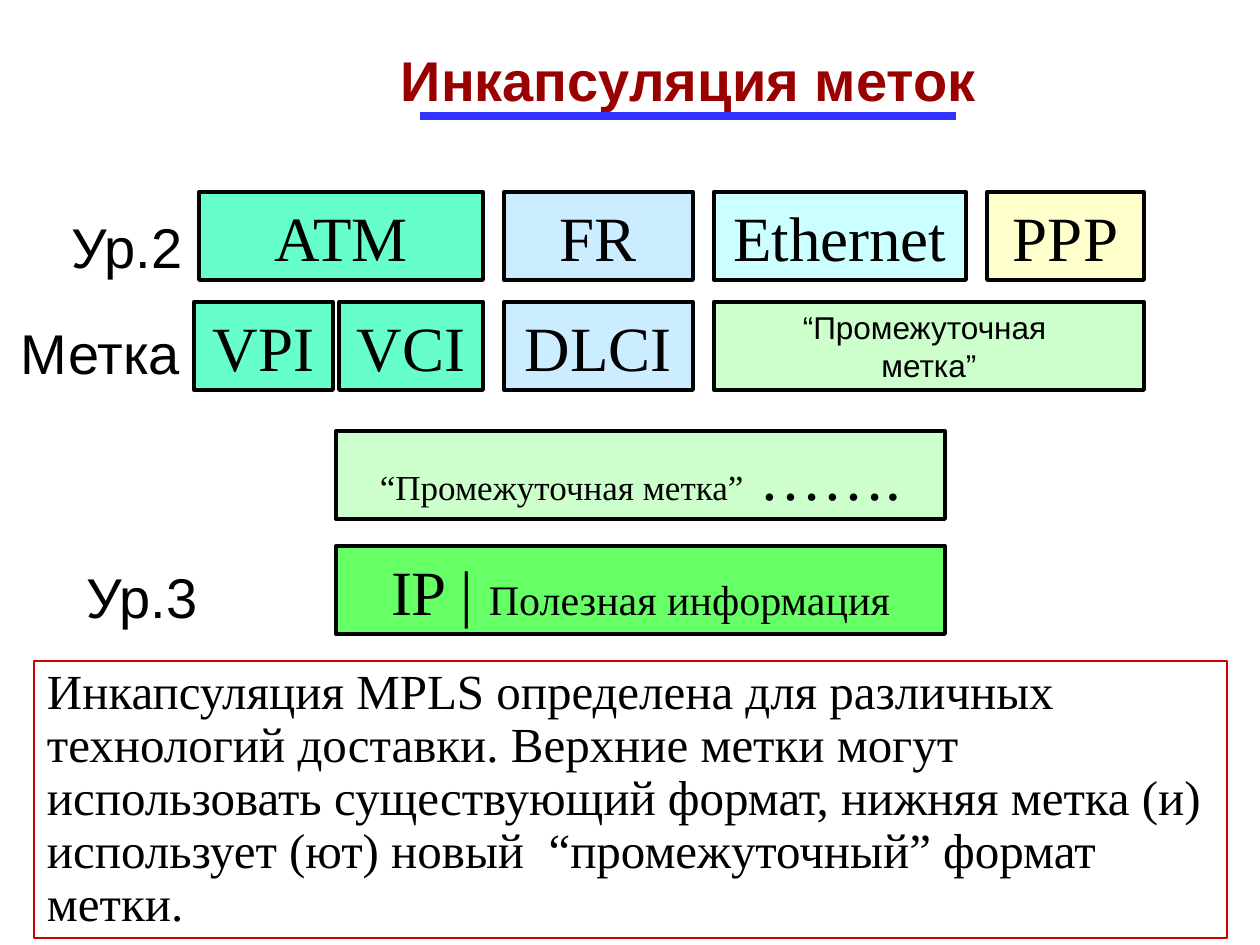
from pptx import Presentation
from pptx.dml.color import RGBColor
from pptx.enum.shapes import MSO_CONNECTOR, MSO_SHAPE
from pptx.enum.text import MSO_ANCHOR, PP_ALIGN
from pptx.oxml.ns import qn
from pptx.util import Pt
from lxml import etree

RECT = MSO_SHAPE.RECTANGLE
LINE = MSO_CONNECTOR.STRAIGHT
MID, TOP = MSO_ANCHOR.MIDDLE, MSO_ANCHOR.TOP
LEFT, MIDDLE = PP_ALIGN.LEFT, PP_ALIGN.CENTER

THEME = {
    "sans": "Arial", "serif": "Times New Roman",
    "ink": "000000", "title": "990000", "rule": "3333FF", "frame": "CC0000",
    "atm": "66FFCC", "fr": "CCECFF", "ether": "CCFFFF", "ppp": "FFFFCC",
    "shim": "CCFFCC", "ip": "66FF66",
    "head": 32, "big": 36, "body": 28, "load": 24, "note": 20, "small": 18,
}


def px(n):
    return round(n * 914400 / 126)


def rgb(key):
    return RGBColor.from_string(THEME[key])


def write(shape, paras, font="serif", color="ink", bold=False,
          align=MIDDLE, space=1.0, anchor=MID, wrap=True, pad=(13, 6)):
    """Fill a shape with paragraphs, each a list of (text, size) runs."""
    frame = shape.text_frame
    side, edge = map(px, pad)
    form = {"word_wrap": wrap, "vertical_anchor": anchor,
            "margin_left": side, "margin_right": side,
            "margin_top": edge, "margin_bottom": edge}
    for name, value in form.items():
        setattr(frame, name, value)
    for i, runs in enumerate(paras):
        para = frame.add_paragraph() if i else frame.paragraphs[0]
        para.alignment, para.line_spacing = align, space
        for text, size in runs:
            run = para.add_run()
            run.text = text
            look = {"name": THEME[font], "size": Pt(THEME[size]), "bold": bold}
            for name, value in look.items():
                setattr(run.font, name, value)
            run.font.color.rgb = rgb(color)


def block(slide, x, y, w, h, paras, fill=None, line="ink", width=2.25, **form):
    shape = slide.shapes.add_shape(RECT, *map(px, (x, y, w, h)))
    shape.shadow.inherit = False
    if fill:
        shape.fill.solid()
        shape.fill.fore_color.rgb = rgb(fill)
    else:
        shape.fill.background()
    shape.line.color.rgb = rgb(line)
    shape.line.width = Pt(width)
    write(shape, paras, **form)


def label(slide, x, y, w, h, text, **form):
    area = slide.shapes.add_textbox(*map(px, (x, y, w, h)))
    write(area, [[(text, "head")]], font="sans", **form)


def tag(slide, x, y, w, text):
    label(slide, x, y, w, 78, text, wrap=False, pad=(11, 6))


def header(slide, x, y, w, h):
    label(slide, x, y, w, h, "Инкапсуляция меток", color="title",
          bold=True, space=0.9, pad=(6, 0))
    # Rule under the title
    mid, half, low = x + w // 2, 268, y + h + 2
    rule = slide.shapes.add_connector(
        LINE, *map(px, (mid - half, low, mid + half, low)))
    rule.line.color.rgb = rgb("rule")
    rule.line.width = Pt(4.5)
    etree.SubElement(rule._element.spPr, qn("a:effectLst"))


def row(slide, x, y, h, name, cells):
    """One row of the label grid: a tag on the left and its cells."""
    left, drop, wide = name[1:]
    tag(slide, x + left, y + drop, wide, name[0])
    for at, w, fill, paras, font in cells:
        block(slide, x + at, y, w, h, paras, fill=fill, font=font)


def grid(slide, x, y, h, step):
    def cell(at, w, fill, text):
        return at, w, fill, [[(text, "big")]], "serif"

    # Link layer
    row(slide, x, y, h, ("Ур.2", 50, 15, 136), [
        cell(190, 284, "atm", "ATM"),
        cell(495, 189, "fr", "FR"),
        cell(705, 252, "ether", "Ethernet"),
        cell(978, 157, "ppp", "PPP"),
    ])
    # Labels
    shim = [[("“Промежуточная ", "small")], [("метка”", "small")]]
    row(slide, x, y + step, h, ("Метка", 0, 11, 183), [
        cell(185, 139, "atm", "VPI"),
        cell(330, 144, "atm", "VCI"),
        cell(495, 189, "fr", "DLCI"),
        (705, 430, "shim", shim, "sans"),
    ])


def stack(slide, x, y, w, h, step):
    block(slide, x, y, w, h,
          [[("“Промежуточная метка”", "note"), (" …….", "big")]], fill="shim")
    block(slide, x, y + step, w, h,
          [[("IP | ", "big"), ("Полезная информация", "load")]], fill="ip")
    tag(slide, x - 262, y + step + 11, 136, "Ур.3")


def summary(slide, x, y, w, h):
    text = ("Инкапсуляция MPLS определена для различных технологий доставки. "
            "Верхние метки могут использовать существующий формат, нижняя "
            "метка (и) использует (ют) новый  “промежуточный” формат метки.")
    block(slide, x, y, w, h, [[(text, "body")]], line="frame", width=0.75,
          align=LEFT, space=0.9, anchor=TOP)


def main():
    deck = Presentation()
    deck.slide_width, deck.slide_height = px(1260), px(945)
    slide = deck.slides.add_slide(deck.slide_layouts[6])
    header(slide, 220, 53, 937, 61)
    grid(slide, 9, 192, 88, 110)
    stack(slide, 336, 431, 609, 88, 115)
    summary(slide, 34, 661, 1193, 277)
    deck.save("out.pptx")


if __name__ == "__main__":
    main()
